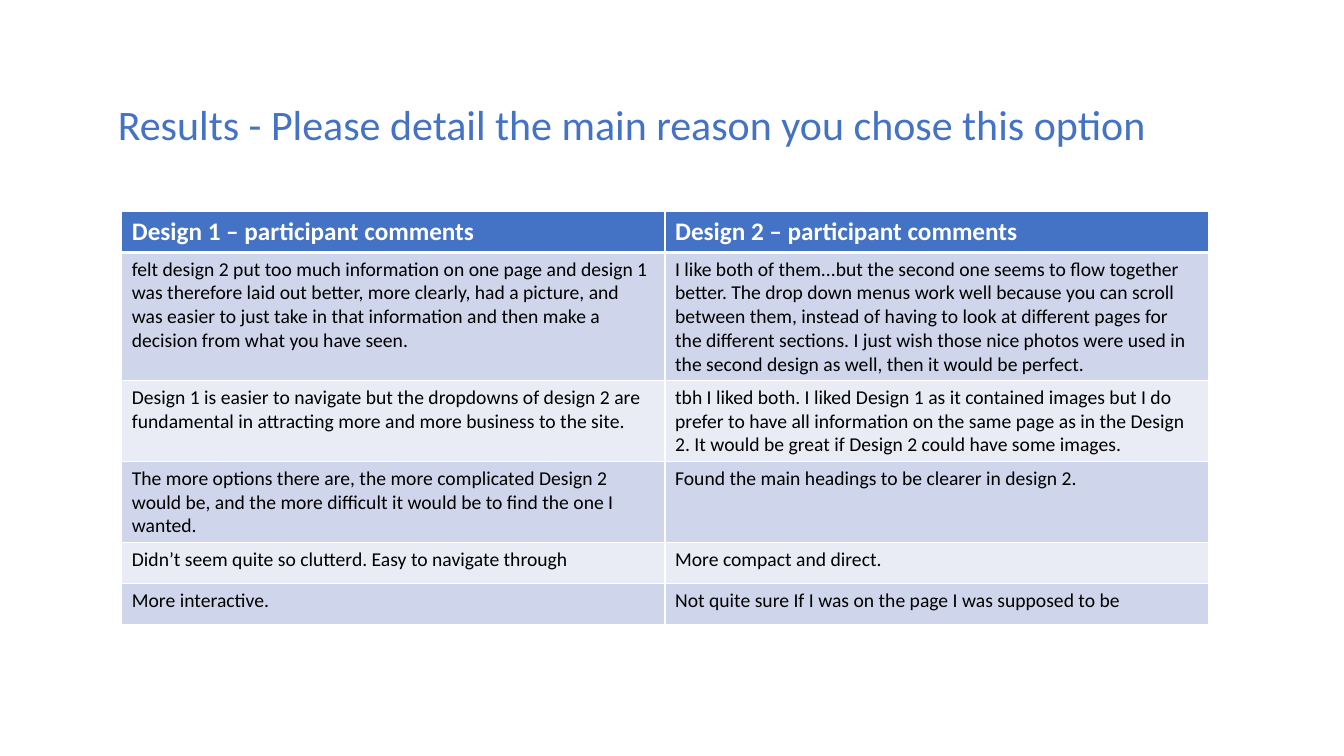
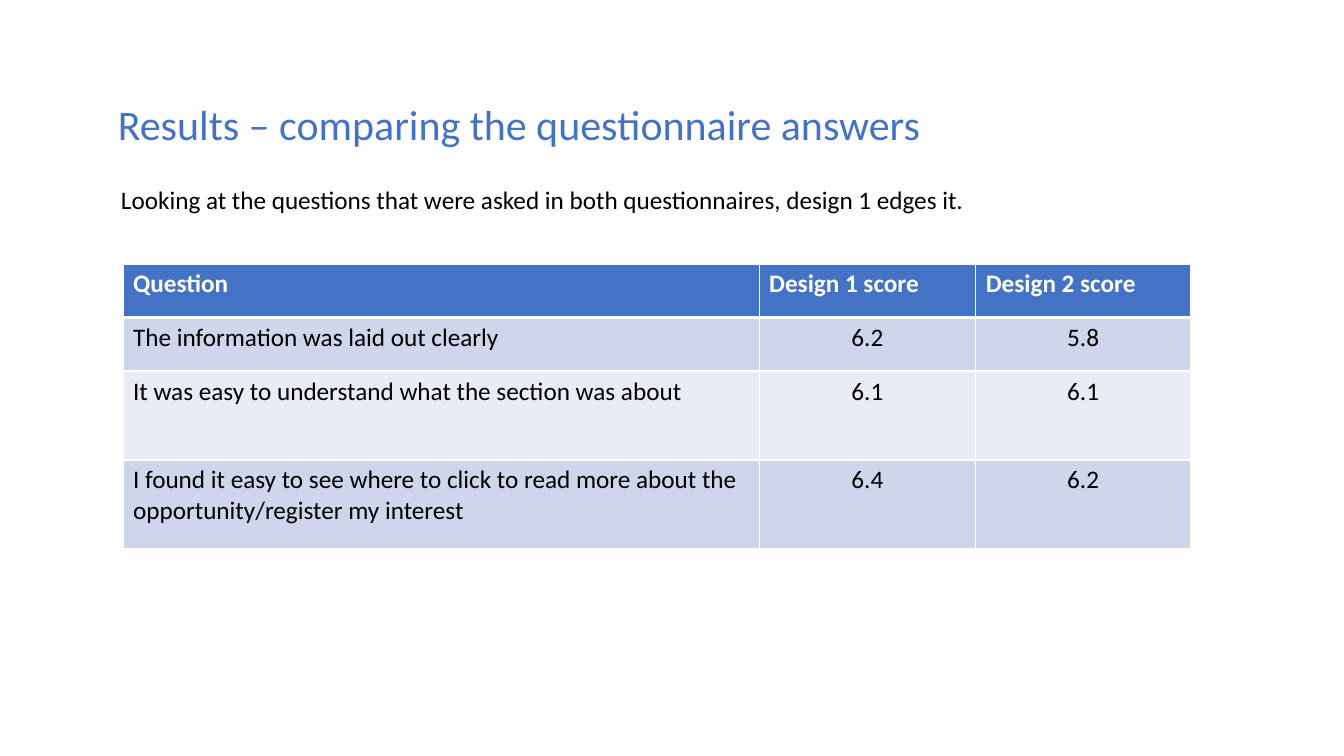
from lxml.etree import SubElement as Sub
from pptx import Presentation
from pptx.dml.color import RGBColor
from pptx.enum.text import PP_ALIGN as Align
from pptx.oxml.ns import qn
from pptx.util import Cm, Pt

FONT = "Calibri"
BLUE, WHITE, BLACK = "4472C4", "FFFFFF", "000000"
BANDS = "CFD5EA", "E9EBF5"
TITLE = 2.72, 2.36, 28.22, 1.55

NOTES = [
    ("Design 1 – participant comments", "Design 2 – participant comments"),
    ("felt design 2 put too much information on one page and design 1 was "
     "therefore laid out better, more clearly, had a picture, and was easier "
     "to just take in that information and then make a decision from what "
     "you have seen.",
     "I like both of them...but the second one seems to flow together better. "
     "The drop down menus work well because you can scroll between them, "
     "instead of having to look at different pages for the different "
     "sections. I just wish those nice photos were used in the second design "
     "as well, then it would be perfect."),
    ("Design 1 is easier to navigate but the dropdowns of design 2 are "
     "fundamental in attracting more and more business to the site.",
     "tbh I liked both. I liked Design 1 as it contained images but I do "
     "prefer to have all information on the same page as in the Design 2. "
     "It would be great if Design 2 could have some images."),
    ("The more options there are, the more complicated Design 2 would be, "
     "and the more difficult it would be to find the one I wanted.",
     "Found the main headings to be clearer in design 2."),
    ("Didn’t seem quite so clutterd. Easy to navigate through",
     "More compact and direct."),
    ("More interactive.",
     "Not quite sure If I was on the page I was supposed to be"),
]

SCORES = [
    ("Question", "Design 1 score", "Design 2 score"),
    ("The information was laid out clearly", "6.2", "5.8"),
    ("It was easy to understand what the section was about", "6.1", "6.1"),
    ("I found it easy to see where to click to read more about the "
     "opportunity/register my interest", "6.4", "6.2"),
]


def paint(target, color):
    target.rgb = RGBColor.from_string(color)


def add_run(para, text, size, color, bold=False):
    run = para.add_run()
    run.text = text
    font = run.font
    font.name, font.size, font.bold = FONT, Pt(size), bold
    paint(font.color, color)


def add_text(slide, box, text, size, color):
    frame = slide.shapes.add_textbox(*map(Cm, box)).text_frame
    frame.word_wrap = True
    add_run(frame.paragraphs[0], text, size, color)


def add_edges(cell, top, bottom):
    props = cell._tc.get_or_add_tcPr()
    for side, width in zip("LRTB", (1, 1, top, bottom)):
        line = Sub(props, qn(f"a:ln{side}"), w=str(Pt(width)))
        fill = Sub(line, qn("a:solidFill"))
        Sub(fill, qn("a:srgbClr"), val=WHITE)


def add_grid(slide, left, top, cols, heights, rows, size, center=False):
    box = left, top, sum(cols), sum(heights)
    table = slide.shapes.add_table(
        len(rows), len(cols), *map(Cm, box)).table
    for col, width in zip(table.columns, cols):
        col.width = Cm(width)
    for i, (row, height, texts) in enumerate(zip(table.rows, heights, rows)):
        row.height = Cm(height)
        head = i == 0
        for j, (cell, text) in enumerate(zip(row.cells, texts)):
            add_edges(cell, 3 if i == 1 else 1, 3 if head else 1)
            cell.fill.solid()
            paint(cell.fill.fore_color, BLUE if head else BANDS[(i - 1) % 2])
            para = cell.text_frame.paragraphs[0]
            if center and j and not head:
                para.alignment = Align.CENTER
            add_run(para, text, 18 if head else size,
                    WHITE if head else BLACK, head)


def add_page(deck, title):
    slide = deck.slides.add_slide(deck.slide_layouts[6])
    add_text(slide, TITLE, title, 30, BLUE)
    return slide


def add_notes(deck):
    slide = add_page(
        deck, "Results - Please detail the main reason you chose this option")
    add_grid(slide, 3.07, 5.33, [13.69] * 2,
             [1.03, 3.23, 2.04, 2.04, 1.03, 1.03], NOTES, 14)


def add_scores(deck):
    slide = add_page(deck, "Results – comparing the questionnaire answers")
    add_text(slide, (2.8, 4.52, 24.16, 1.03),
             "Looking at the questions that were asked in both "
             "questionnaires, design 1 edges it.", 18, BLACK)
    add_grid(slide, 3.1, 6.65, [16.03, 5.46, 5.41],
             [1.35, 1.35, 2.24, 2.24], SCORES, 18, center=True)


def main():
    deck = Presentation()
    deck.slide_width, deck.slide_height = Cm(33.87), Cm(19.05)
    add_notes(deck)
    add_scores(deck)
    deck.save("out.pptx")


if __name__ == "__main__":
    main()
